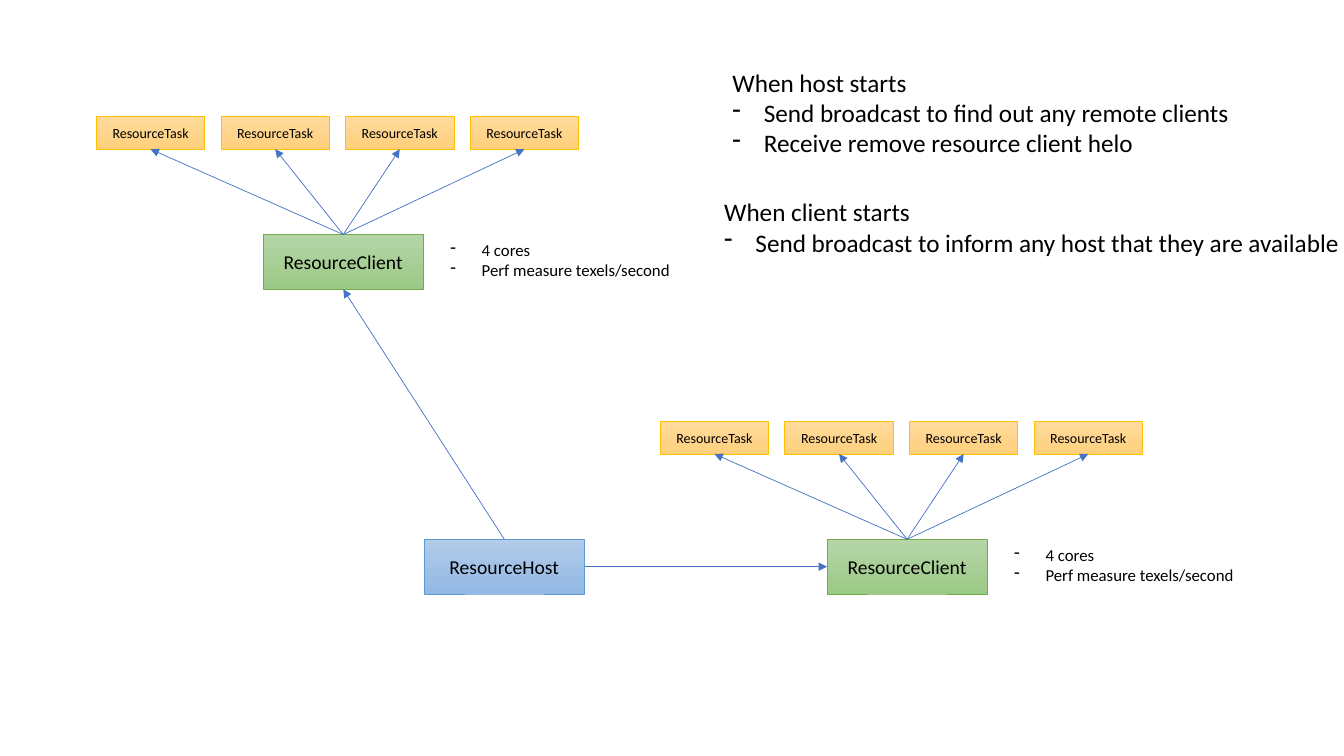
from lxml.etree import SubElement
from pptx import Presentation
from pptx.dml.color import RGBColor
from pptx.enum.shapes import MSO_CONNECTOR as CONNECTOR, MSO_SHAPE as SHAPE
from pptx.enum.text import MSO_ANCHOR as ANCHOR, MSO_AUTO_SIZE as AUTO_SIZE, PP_ALIGN as ALIGN
from pptx.oxml.ns import qn
from pptx.util import Cm, Pt

BLUE = ("B1CBE9", "93B9E4", "5B9BD5")
GREEN = ("B5D5A7", "9CC987", "70AD47")
ORANGE = ("FFDB9E", "FFD07C", "FFC000")
ARROW = "4472C4"
NODE_SIZE = (4.04, 1.38)
TASK_SIZE = (2.73, 0.83)
TASK_COUNT, TASK_PITCH = 4, 3.14
TOP, RIGHT, BOTTOM, LEFT = 0, 3, 2, 1


def color(hex_value):
    """Turn a hex string into a colour."""
    return RGBColor.from_string(hex_value)


def style_text(paragraph, size):
    """Set the font of one paragraph."""
    paragraph.font.name = "Calibri"
    paragraph.font.size = Pt(size)
    paragraph.font.color.rgb = color("000000")


def add_box(slide, label, left, top, box_size, palette, font_size):
    """Add a labelled rectangle with a vertical gradient."""
    width, height = box_size
    box = slide.shapes.add_shape(SHAPE.RECTANGLE, Cm(left), Cm(top), Cm(width), Cm(height))
    box.shadow.inherit = False
    upper, lower, outline = palette
    box.fill.gradient()
    box.fill.gradient_angle = 270
    for stop, shade in zip(box.fill.gradient_stops, (upper, lower)):
        stop.color.rgb = color(shade)
    box.line.color.rgb = color(outline)
    box.line.width = Pt(0.5)
    box.text_frame.vertical_anchor = ANCHOR.MIDDLE
    paragraph = box.text_frame.paragraphs[0]
    paragraph.text = label
    paragraph.alignment = ALIGN.CENTER
    style_text(paragraph, font_size)
    return box


def add_arrow(slide, source, source_side, target, target_side):
    """Join two boxes with an arrow."""
    arrow = slide.shapes.add_connector(CONNECTOR.STRAIGHT, 0, 0, 0, 0)
    arrow.begin_connect(source, source_side)
    arrow.end_connect(target, target_side)
    arrow.line.color.rgb = color(ARROW)
    arrow.line.width = Pt(0.5)
    SubElement(arrow.line._get_or_add_ln(), qn("a:tailEnd"), type="triangle")
    SubElement(arrow._element.spPr, qn("a:effectLst"))


def add_dash(paragraph):
    """Give a paragraph a hanging dash."""
    properties = paragraph._p.get_or_add_pPr()
    properties.set("marL", str(Cm(0.79)))
    properties.set("indent", str(-Cm(0.79)))
    SubElement(properties, qn("a:buFontTx"))
    SubElement(properties, qn("a:buChar"), char="-")


def add_notes(slide, left, top, width, height, font_size, points, heading=None):
    """Add a dashed list with an optional heading."""
    notes = slide.shapes.add_textbox(Cm(left), Cm(top), Cm(width), Cm(height))
    frame = notes.text_frame
    frame.word_wrap = False
    frame.auto_size = AUTO_SIZE.SHAPE_TO_FIT_TEXT
    lines = [heading, *points] if heading else points
    frame.text = "\n".join(lines)
    for line, paragraph in zip(lines, frame.paragraphs):
        style_text(paragraph, font_size)
        if line != heading:
            add_dash(paragraph)


def add_client(slide, left, top):
    """Add a client with its tasks and its capacity."""
    client = add_box(slide, "ResourceClient", left, top, NODE_SIZE, GREEN, 14)
    for index in range(TASK_COUNT):
        task_left = left - 4.2 + index * TASK_PITCH
        task = add_box(slide, "ResourceTask", task_left, top - 2.98, TASK_SIZE, ORANGE, 10)
        add_arrow(slide, client, TOP, task, BOTTOM)
    add_notes(slide, left + 4.47, top, 6.12, 1.27, 12,
              ["4 cores", "Perf measure texels/second"])
    return client


def main():
    """Build the slide and save it."""
    deck = Presentation()
    deck.slide_width, deck.slide_height = Cm(33.87), Cm(19.05)
    slide = deck.slides.add_slide(deck.slide_layouts[6])

    host = add_box(slide, "ResourceHost", 10.69, 13.59, NODE_SIZE, BLUE, 14)
    upper_client = add_client(slide, 6.63, 5.91)
    lower_client = add_client(slide, 20.84, 13.59)
    add_arrow(slide, host, TOP, upper_client, BOTTOM)
    add_arrow(slide, host, RIGHT, lower_client, LEFT)

    add_notes(slide, 18.21, 1.57, 13.18, 2.57, 18,
              ["Send broadcast to find out any remote clients",
               "Receive remove resource client helo"], "When host starts")
    add_notes(slide, 18, 4.83, 16.18, 1.8, 18,
              ["Send broadcast to inform any host that they are available"],
              "When client starts")
    deck.save("out.pptx")


if __name__ == "__main__":
    main()
